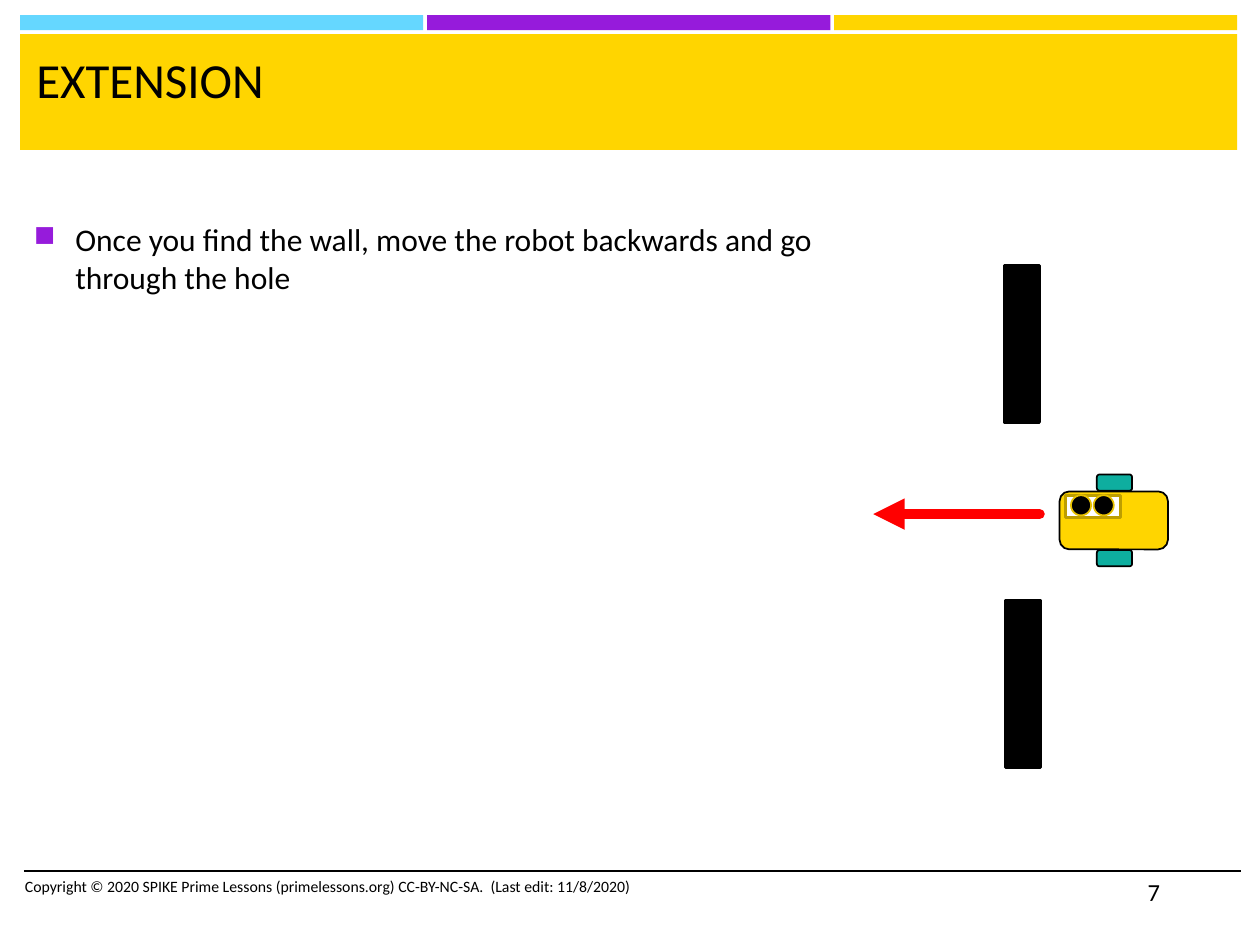
"""Build the robot lesson's extension slide."""
from lxml import etree
from pptx import Presentation
from pptx.dml.color import RGBColor
from pptx.enum.shapes import MSO_CONNECTOR, MSO_SHAPE
from pptx.oxml.ns import qn
from pptx.util import Inches, Pt

RECTANGLE = MSO_SHAPE.RECTANGLE
ROUNDED = MSO_SHAPE.ROUNDED_RECTANGLE
OVAL = MSO_SHAPE.OVAL
STRAIGHT = MSO_CONNECTOR.STRAIGHT

BLACK = RGBColor(0x00, 0x00, 0x00)
WHITE = RGBColor(0xFF, 0xFF, 0xFF)
SKY = RGBColor(0x65, 0xD7, 0xFF)
PURPLE = RGBColor(0x96, 0x1B, 0xDB)
YELLOW = RGBColor(0xFF, 0xD5, 0x00)
TEAL = RGBColor(0x0E, 0xAE, 0x9F)
DARK_GOLD = RGBColor(0xBD, 0x9E, 0x00)
GOLD = RGBColor(0xE6, 0xC0, 0x00)
RED = RGBColor(0xFF, 0x00, 0x00)

FONT = "Calibri"
MARGIN = 0.16
BAND_WIDTH = 9.66
STRIPE_WIDTH = 3.2
STRIPE_COLORS = [SKY, PURPLE, YELLOW]
STRIPE_STEP = (BAND_WIDTH - STRIPE_WIDTH) / (len(STRIPE_COLORS) - 1)
FOOTER_TOP = 6.91

TEXTS = {
    "title": ("EXTENSION", (0.19, 0.34, 9.57, 0.82), 28),
    "body": ("Once you find the wall, move the robot backwards and go through the hole",
             (0.17, 1.7, 6.47, 5.11), 18),
    "copyright": ("Copyright © 2020 SPIKE Prime Lessons (primelessons.org) CC-BY-NC-SA.  "
                  "(Last edit: 11/8/2020)", (0.1, FOOTER_TOP, 5.33, 0.4), 9),
    "number": ("7", (9.01, FOOTER_TOP, 0.84, 0.4), 14),
}

WALLS = [(7.98, 4.77, 0.28, 1.32), (7.97, 2.11, 0.28, 1.24)]
ROBOT_PARTS = [
    (ROUNDED, (8.61, 3.7, 0.46, 0.86), 270, YELLOW, BLACK, 1),
    (ROUNDED, (8.78, 3.69, 0.13, 0.28), 270, TEAL, BLACK, 1),
    (ROUNDED, (8.78, 4.29, 0.13, 0.28), 270, TEAL, BLACK, 1),
    (RECTANGLE, (8.59, 3.8, 0.17, 0.44), 90, WHITE, DARK_GOLD, 1.75),
    (OVAL, (8.68, 3.93, 0.16, 0.16), 270, BLACK, GOLD, 1),
    (OVAL, (8.5, 3.93, 0.16, 0.16), 270, BLACK, GOLD, 1),
]


def add_box(slide, kind, place, fill, outline=None, width=1, rotation=0):
    shape = slide.shapes.add_shape(kind, *map(Inches, place))
    shape.shadow.inherit = False
    shape.rotation = rotation
    shape.fill.solid()
    shape.fill.fore_color.rgb = fill
    if outline is None:
        shape.line.fill.background()
    else:
        shape.line.color.rgb = outline
        shape.line.width = Pt(width)


def add_line(slide, start, end, color, width):
    connector = slide.shapes.add_connector(STRAIGHT, *map(Inches, start + end))
    connector.line.color.rgb = color
    connector.line.width = Pt(width)
    etree.SubElement(connector._element.spPr, qn("a:effectLst"))
    return connector


def add_text(slide, text, place, size):
    box = slide.shapes.add_textbox(*map(Inches, place))
    box.text_frame.word_wrap = True
    paragraph = box.text_frame.paragraphs[0]
    run = paragraph.add_run()
    run.text = text
    for name, value in {"name": FONT, "size": Pt(size)}.items():
        setattr(run.font, name, value)
    run.font.color.rgb = BLACK
    return paragraph


def add_bullet(paragraph):
    properties = paragraph._p.get_or_add_pPr()
    indent = Inches(0.33)
    properties.set("marL", str(indent))
    properties.set("indent", str(-indent))
    color = etree.SubElement(properties, qn("a:buClr"))
    etree.SubElement(color, qn("a:srgbClr"), val=str(PURPLE))
    etree.SubElement(properties, qn("a:buSzPct"), val="92000")
    etree.SubElement(properties, qn("a:buChar"), char="■")


def main():
    presentation = Presentation()
    presentation.slide_width = Inches(10)
    presentation.slide_height = Inches(7.5)
    slide = presentation.slides.add_slide(presentation.slide_layouts[6])

    for index, color in enumerate(STRIPE_COLORS):
        left = MARGIN + index * STRIPE_STEP
        add_box(slide, RECTANGLE, (left, 0.12, STRIPE_WIDTH, 0.12), color)
    add_box(slide, RECTANGLE, (MARGIN, 0.27, BAND_WIDTH, 0.92), YELLOW)
    add_line(slide, (0.19, FOOTER_TOP), (9.85, FOOTER_TOP), BLACK, 1)

    paragraphs = {name: add_text(slide, *entry) for name, entry in TEXTS.items()}
    add_bullet(paragraphs["body"])

    for place in WALLS:
        add_box(slide, RECTANGLE, place, BLACK, BLACK, 1.75)
    for kind, place, rotation, fill, outline, width in ROBOT_PARTS:
        add_box(slide, kind, place, fill, outline, width, rotation)

    arrow = add_line(slide, (8.25, 4.08), (6.93, 4.08), RED, 6)
    line = arrow.line._get_or_add_ln()
    line.set("cap", "rnd")
    etree.SubElement(line, qn("a:tailEnd"), type="triangle")

    presentation.save("out.pptx")


if __name__ == "__main__":
    main()
